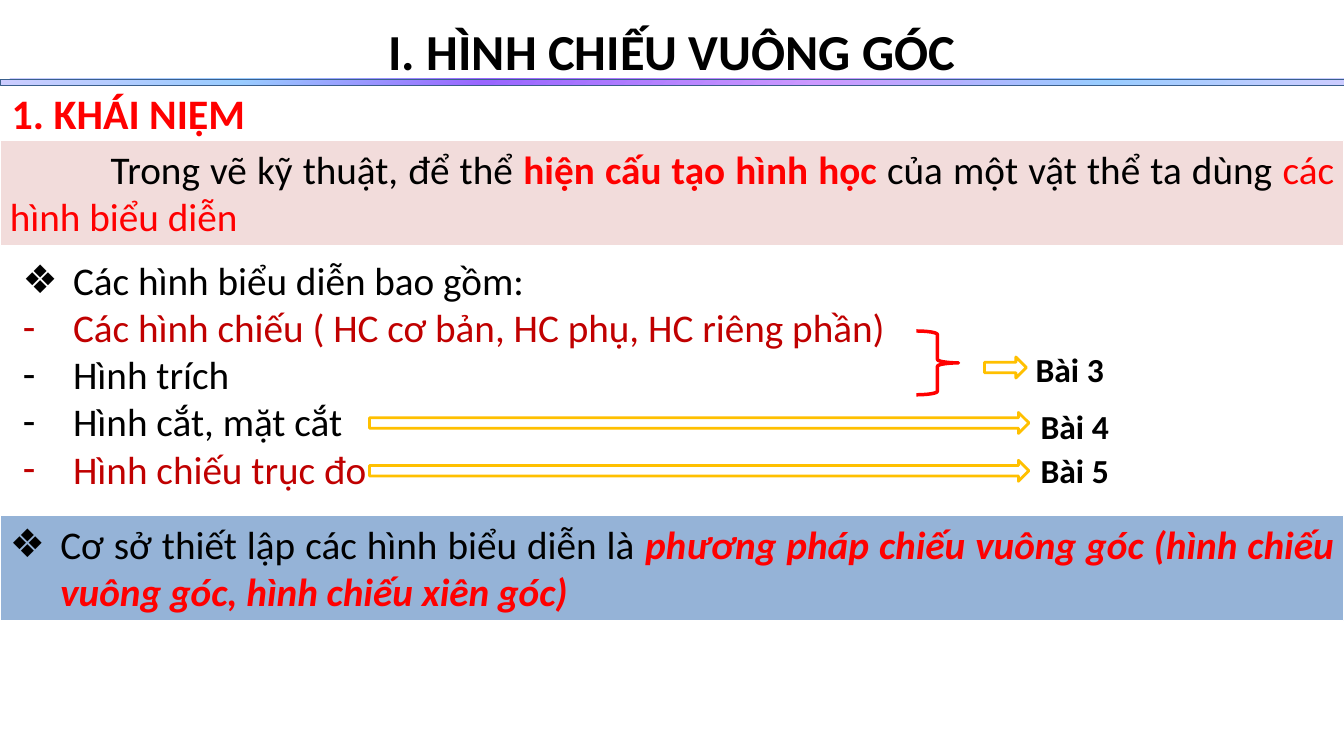
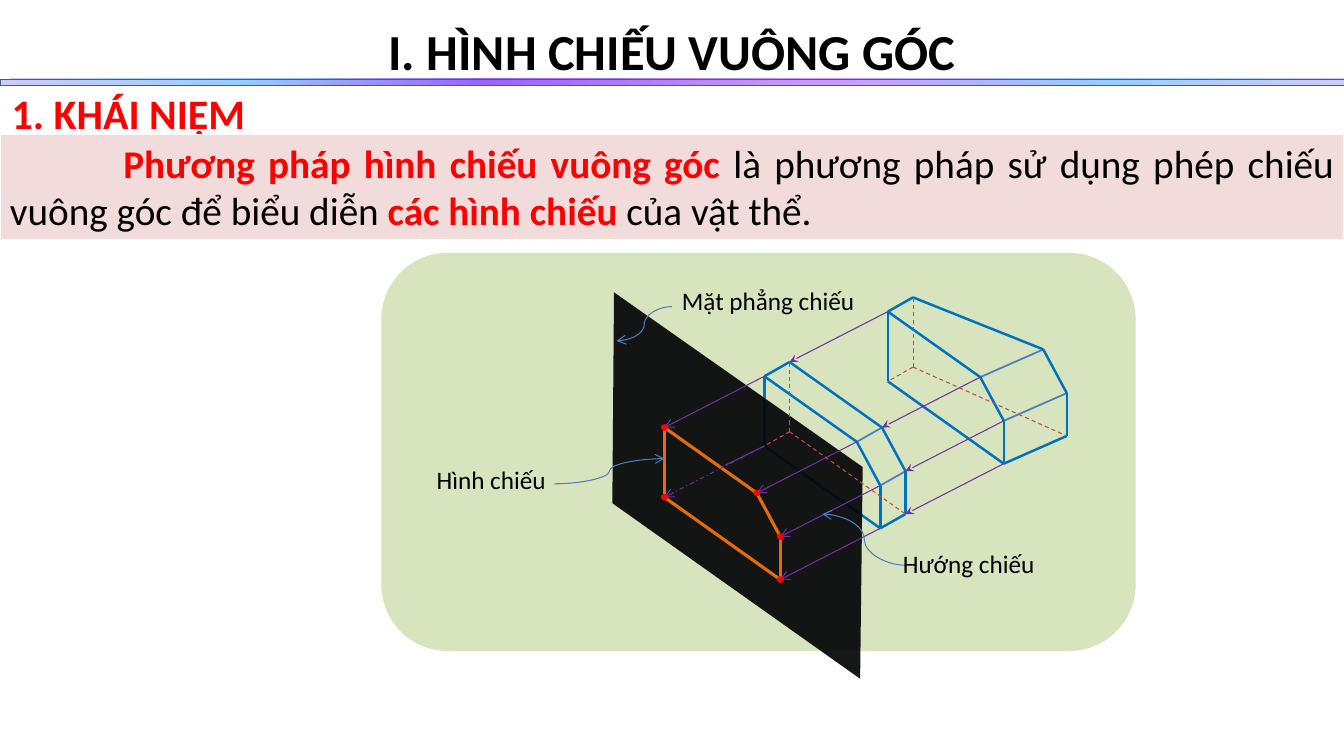
from lxml.etree import SubElement
from pptx import Presentation
from pptx.dml.color import RGBColor
from pptx.enum.dml import MSO_LINE
from pptx.enum.shapes import MSO_CONNECTOR, MSO_SHAPE
from pptx.enum.text import MSO_ANCHOR, MSO_AUTO_SIZE, PP_ALIGN
from pptx.oxml.ns import qn
from pptx.util import Emu, Pt

CELL = 762000
COLUMNS, ROWS = 16, 9
BLACK, RED, DARK_RED = "000000", "FF0000", "C00000"
PINK, STEEL, GREEN, WHITE = "F2DCDB", "95B3D7", "D7E4BD", "FFFFFF"
AMBER, ORANGE, PURPLE = "FFC000", "E46C0A", "7030A0"
EDGE, CREASE, HIDDEN, PANEL = "0070C0", "4B7EBC", "BF4C48", "050608"
BAND_STOPS = [(0, "CCCCFF"), (18, "99CCFF"), (36, "9966FF"),
              (61, "CC99FF"), (82, "99CCFF"), (100, "CCCCFF")]
BOLD = {"bold": True}
STRONG = {"bold": True, "italic": True}
TITLE = "I. HÌNH CHIẾU VUÔNG GÓC"
HEADING = "1. KHÁI NIỆM"

PROFILE = [(0, 0), (1.1, 0.78), (1.38, 1.3), (1.38, 1.81), (0, 0.83)]
TOP, SLOPE, CORNER, FOOT, HEEL = range(5)
SHALLOW, DEEP = (0.3, -0.17), (0.75, -0.33)


def cells(amount):
    """Turn grid cells into a length."""
    return Emu(round(amount * CELL))


def colour(code):
    """Turn a hex string into a colour."""
    return RGBColor.from_string(code)


def assign(target, values):
    """Set each attribute of the target from a dict."""
    for name, value in values.items():
        setattr(target, name, value)


def shift(points, offsets):
    """Move each point by its own offset."""
    return [(x + dx, y + dy) for (x, y), (dx, dy) in zip(points, offsets)]


class Lesson:
    """Hold the deck style and the slide being built."""

    def __init__(self):
        """Open an empty deck on the grid."""
        self.deck = Presentation()
        assign(self.deck, {"slide_width": cells(COLUMNS), "slide_height": cells(ROWS)})
        self.slide = None

    def start(self, layout):
        """Add a slide with the shared band, title and heading."""
        self.slide = self.deck.slides.add_slide(self.deck.slide_layouts[layout])
        band = self.shape(MSO_SHAPE.RECTANGLE, (0, 0.94, COLUMNS, 0.08), line="3A5F8C", width=0.25)
        band.fill.gradient()
        band.fill.gradient_angle = 315
        stops = band.fill._xPr.find(".//" + qn("a:gsLst"))
        stops.clear()
        for position, code in BAND_STOPS:
            stop = SubElement(stops, qn("a:gs"), pos=str(position * 1000))
            SubElement(stop, qn("a:srgbClr"), val=code)
        title = self.slide.shapes.title
        self.place(title, (0, 0, COLUMNS, 1.21))
        frame = self.frame(title, inset=(0.36, 0.24))
        self.add_runs(frame.paragraphs[0], [(TITLE, BLACK, BOLD)], 36, PP_ALIGN.CENTER)
        self.label(HEADING, (0, 1.04, 6.44, 0.6), 30, RED, BOLD, (0.14, 0))

    def place(self, item, box):
        """Put an item on a box of the grid."""
        assign(item, dict(zip(("left", "top", "width", "height"), map(cells, box))))

    def frame(self, item, anchor=MSO_ANCHOR.TOP, inset=(0.12, 0.06)):
        """Format the text frame of an item."""
        side, edge = map(cells, inset)
        assign(item.text_frame, {
            "word_wrap": True, "auto_size": MSO_AUTO_SIZE.NONE, "vertical_anchor": anchor,
            "margin_left": side, "margin_right": side, "margin_top": edge, "margin_bottom": edge})
        return item.text_frame

    def add_runs(self, paragraph, runs, size=28, align=PP_ALIGN.LEFT):
        """Fill a paragraph with styled runs."""
        assign(paragraph, {"alignment": align, "space_before": Pt(0)})
        for text, code, look in runs:
            run = paragraph.add_run()
            run.text = text
            assign(run.font, {"name": "Calibri", "size": Pt(size), "bold": False, **look})
            run.font.color.rgb = colour(code)

    def indent(self, paragraph, first, left=0, bullet=None):
        """Set indents and an optional bullet."""
        props = paragraph._p.get_or_add_pPr()
        props.set("marL", str(cells(left)))
        props.set("indent", str(cells(first)))
        if bullet:
            SubElement(props, qn("a:buFont"), typeface="Arial")
            SubElement(props, qn("a:buChar"), char=bullet)
        else:
            SubElement(props, qn("a:buNone"))

    def shape(self, kind, box, fill=None, line=None, width=0.75):
        """Add a preset shape."""
        item = self.slide.shapes.add_shape(kind, *map(cells, box))
        return self.paint(item, fill, line, width)

    def paint(self, item, fill=None, line=None, width=0.75):
        """Give a shape its fill and outline."""
        item.shadow.inherit = False
        if fill:
            item.fill.solid()
            item.fill.fore_color.rgb = colour(fill)
        else:
            item.fill.background()
        if line:
            item.line.color.rgb = colour(line)
            item.line.width = Pt(width)
        else:
            item.line.fill.background()
        return item

    def statement(self, top, fill, runs, first, left=0, bullet=None):
        """Add a full-width coloured statement."""
        box = self.shape(MSO_SHAPE.RECTANGLE, (0, top, COLUMNS, 1.25), fill, WHITE)
        paragraph = self.frame(box).paragraphs[0]
        self.indent(paragraph, first, left, bullet)
        self.add_runs(paragraph, runs, align=PP_ALIGN.JUSTIFY)

    def listing(self, box, items):
        """Fill the body placeholder with a bulleted list."""
        body = self.slide.placeholders[1]
        self.place(body, box)
        frame = self.frame(body, MSO_ANCHOR.MIDDLE, (0.27, 0.06))
        for index, (bullet, text, code) in enumerate(items):
            paragraph = frame.add_paragraph() if index else frame.paragraphs[0]
            self.indent(paragraph, -0.6, 0.6, bullet)
            self.add_runs(paragraph, [(text, code, {})])

    def label(self, text, box, size, code=BLACK, look=None, inset=(0.12, 0.06)):
        """Add a one-line text box."""
        item = self.slide.shapes.add_textbox(*map(cells, box))
        frame = self.frame(item, inset=inset)
        self.add_runs(frame.paragraphs[0], [(text, code, look or {})], size)

    def line(self, start, end, code, width=0.75, dash=None, arrow=None, kind=MSO_CONNECTOR.STRAIGHT):
        """Add a line, with an arrowhead at its end if asked."""
        item = self.slide.shapes.add_connector(kind, *map(cells, (*start, *end)))
        item.line.color.rgb = colour(code)
        item.line.width = Pt(width)
        if dash:
            item.line.dash_style = dash
        if arrow:
            SubElement(item.line._get_or_add_ln(), qn("a:tailEnd"), type=arrow)
        SubElement(item._element.spPr, qn("a:effectLst"))

    def outline(self, points, code, width):
        """Draw the closed outline of a face."""
        for start, end in zip(points, points[1:] + points[:1]):
            self.line(start, end, code, width)

    def solid(self, front, back):
        """Draw the visible edges of a solid."""
        for corner in (SLOPE, CORNER):
            self.line(front[corner], back[corner], CREASE, 1.25)
        self.outline(front, EDGE, 1.75)
        for corner in (TOP, FOOT):
            self.line(front[corner], back[corner], EDGE, 1.75)
        for corner in (TOP, SLOPE, CORNER):
            self.line(back[corner], back[corner + 1], EDGE, 1.75)

    def hidden(self, front, back):
        """Draw the hidden edges of a solid."""
        for end in (back[TOP], back[FOOT], front[HEEL]):
            self.line(back[HEEL], end, HIDDEN, dash=MSO_LINE.DASH)

    def panel(self, points, fill, opacity):
        """Draw a translucent projection plane."""
        corners = [tuple(map(cells, point)) for point in points]
        builder = self.slide.shapes.build_freeform(*corners[0])
        builder.add_line_segments(corners[1:], close=True)
        item = self.paint(builder.convert_to_shape(), fill)
        tint = item.fill._xPr.find(".//" + qn("a:srgbClr"))
        SubElement(tint, qn("a:alpha"), val=str(opacity * 1000))


def build_overview(lesson):
    """Build the slide on kinds of representation."""
    lesson.start(1)
    lesson.statement(1.67, PINK, [
        ("Trong vẽ kỹ thuật, để thể ", BLACK, {}),
        ("hiện cấu tạo hình học ", RED, BOLD),
        ("của một vật thể ta dùng ", BLACK, {}),
        ("các hình biểu diễn", RED, {})], first=1.2)
    lesson.listing((0, 2.98, COLUMNS, 2.95), [
        ("❖", "Các hình biểu diễn bao gồm:", BLACK),
        ("-", "Các hình chiếu ( HC cơ bản, HC phụ, HC riêng phần)", DARK_RED),
        ("-", "Hình trích", BLACK),
        ("-", "Hình cắt, mặt cắt", BLACK),
        ("-", "Hình chiếu trục đo", DARK_RED)])
    lesson.shape(MSO_SHAPE.RIGHT_BRACE, (10.91, 3.94, 0.5, 0.76), line=RED, width=2.5)
    for text, spot, arrow in [
            ("Bài 3", (12.21, 4.1), (11.72, 4.25, 0.5, 0.25)),
            ("Bài 4", (12.27, 4.77), (4.4, 4.91, 7.85, 0.25)),
            ("Bài 5", (12.27, 5.3), (4.4, 5.48, 7.85, 0.25))]:
        lesson.shape(MSO_SHAPE.RIGHT_ARROW, arrow, line=AMBER, width=2)
        lesson.label(text, (*spot, 1.3, 0.6), 24, look=BOLD)
    lesson.statement(6.14, STEEL, [
        ("Cơ sở thiết lập các hình biểu diễn là ", BLACK, {}),
        ("phương pháp chiếu vuông góc (hình chiếu vuông góc, hình chiếu xiên góc)", RED, STRONG)],
        first=-0.6, left=0.6, bullet="❖")


def build_projection(lesson):
    """Build the slide on orthogonal projection."""
    lesson.start(5)
    lesson.statement(1.6, PINK, [
        ("Phương pháp hình chiếu vuông góc ", RED, BOLD),
        ("là phương pháp sử dụng phép chiếu vuông góc để biểu diễn ", BLACK, {}),
        ("các hình chiếu ", RED, BOLD),
        ("của vật thể.", BLACK, {})], first=1.35)
    lesson.shape(MSO_SHAPE.ROUNDED_RECTANGLE, (4.54, 3.01, 8.98, 4.74), GREEN)

    view, near, far = (shift(PROFILE, [origin] * len(PROFILE))
                       for origin in ((7.91, 5.09), (9.1, 4.48), (10.57, 3.71)))
    near_back = shift(near, [SHALLOW] * len(near))
    far_back = shift(far, [SHALLOW, DEEP, DEEP, DEEP, SHALLOW])
    lesson.solid(near, near_back)
    lesson.panel([(7.31, 3.48), (10.27, 5.56), (10.24, 8.08), (7.29, 5.99)], PANEL, 93)
    lesson.outline(view, ORANGE, 2.25)
    for corner, (start, end) in enumerate(zip(near, view)):
        dash = MSO_LINE.DASH_DOT if corner == HEEL else None
        lesson.line(start, end, PURPLE, dash=dash, arrow="arrow")
    lesson.line(near[HEEL], (8.63, 5.54), PURPLE)
    for x, y in view:
        lesson.shape(MSO_SHAPE.OVAL, (x - 0.04, y - 0.04, 0.08, 0.08), RED)
    for text, spot, start, end in [
            ("Mặt phẳng chiếu", (8, 3.34), (8, 3.65), (7.34, 4.06)),
            ("Hình chiếu", (5.08, 5.47), (6.6, 5.76), (7.91, 5.46)),
            ("Hướng chiếu", (10.63, 6.47), (10.79, 6.73), (9.79, 6.12))]:
        lesson.line(start, end, CREASE, arrow="arrow", kind=MSO_CONNECTOR.CURVE)
        lesson.label(text, (*spot, 2.6, 0.48), 18)
    lesson.hidden(near, near_back)
    lesson.solid(far, far_back)
    lesson.hidden(far, far_back)
    for corner in (TOP, SLOPE, CORNER, FOOT):
        lesson.line(far[corner], near_back[corner], PURPLE, arrow="stealth")


def main():
    """Build and save the deck."""
    lesson = Lesson()
    build_overview(lesson)
    build_projection(lesson)
    lesson.deck.save("out.pptx")


if __name__ == "__main__":
    main()
